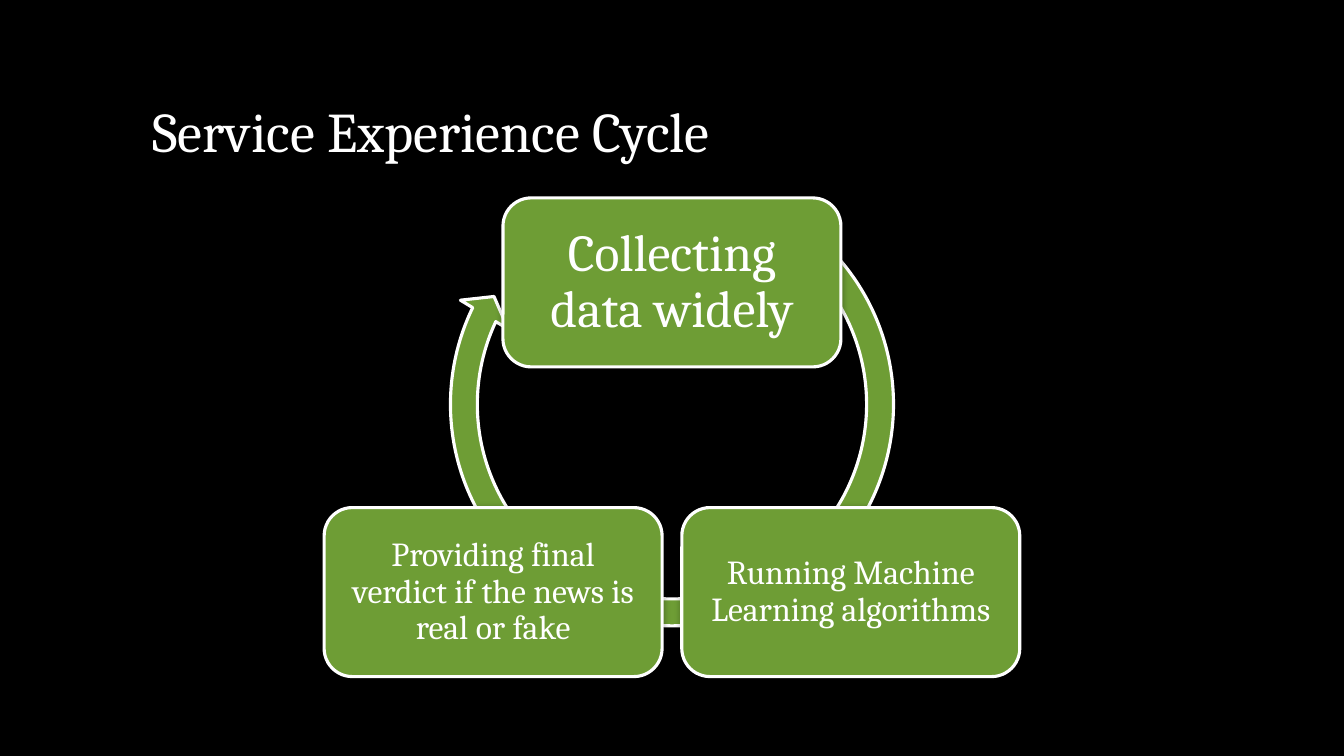
from dataclasses import dataclass

from lxml.etree import SubElement
from pptx import Presentation
from pptx.dml.color import RGBColor
from pptx.enum.shapes import MSO_SHAPE as SHAPE
from pptx.enum.text import MSO_ANCHOR as ANCHOR, PP_ALIGN as ALIGN
from pptx.oxml.ns import qn
from pptx.shapes.autoshape import Shape
from pptx.slide import Slide
from pptx.util import Pt

BLACK, WHITE, GREEN = "000000", "FFFFFF", "6E9D35"
CENTER_X = 480
BOX_W, BOX_H = 241.4, 120.7
SIDE_SHIFT = 127.75
TOP_Y, BOTTOM_Y = 141.4, 362.6
RING_TOP, RING_SIZE = 120.3, 337


@dataclass
class Stage:
    text: str
    shift: float
    top: float
    size: float


STAGES = [
    Stage("Collecting data widely", 0, TOP_Y, 37),
    Stage("Running Machine Learning algorithms", SIDE_SHIFT, BOTTOM_Y, 24),
    Stage("Providing final verdict if the news is real or fake", -SIDE_SHIFT, BOTTOM_Y, 24),
]


def color(value: str) -> RGBColor:
    return RGBColor.from_string(value)


def write(sp: Shape, text: str, size: float, frame: dict, para: dict) -> None:
    tf = sp.text_frame
    for name, value in frame.items():
        setattr(tf, name, value)
    p = tf.paragraphs[0]
    for name, value in para.items():
        setattr(p, name, value)
    r = p.add_run()
    r.text = text
    for name, value in {"name": "Cambria", "size": Pt(size)}.items():
        setattr(r.font, name, value)
    r.font.color.rgb = color(WHITE)


def add_shadow(sp: Shape) -> None:
    sp.shadow.inherit = False
    effects = sp._element.spPr.find(qn("a:effectLst"))
    shadow = SubElement(effects, qn("a:outerShdw"), blurRad=str(Pt(5)),
                        dist=str(Pt(1)), dir="5400000", rotWithShape="0")
    tone = SubElement(shadow, qn("a:srgbClr"), val=BLACK)
    SubElement(tone, qn("a:alpha"), val="32000")


def add_green(s: Slide, kind: SHAPE, center: float, top: float,
              width: float, height: float, adjustments: list[float]) -> Shape:
    sp = s.shapes.add_shape(kind, Pt(center - width / 2), Pt(top), Pt(width), Pt(height))
    for i, value in enumerate(adjustments):
        sp.adjustments[i] = value
    sp.fill.solid()
    sp.fill.fore_color.rgb = color(GREEN)
    sp.line.color.rgb = color(WHITE)
    sp.line.width = Pt(2.25)
    add_shadow(sp)
    return sp


def add_stage(s: Slide, stage: Stage) -> None:
    sp = add_green(s, SHAPE.ROUNDED_RECTANGLE, CENTER_X + stage.shift, stage.top,
                   BOX_W, BOX_H, [1 / 6])
    frame = {f"margin_{side}": Pt(11.5) for side in ("left", "top", "right", "bottom")}
    frame |= {"word_wrap": True, "vertical_anchor": ANCHOR.MIDDLE}
    write(sp, stage.text, stage.size, frame,
          {"alignment": ALIGN.CENTER, "line_spacing": 0.9})


def main() -> None:
    prs = Presentation()
    prs.slide_width, prs.slide_height = Pt(960), Pt(540)
    s = prs.slides.add_slide(prs.slide_layouts[6])
    s.background.fill.solid()
    s.background.fill.fore_color.rgb = color(BLACK)

    title = s.shapes.add_textbox(Pt(102), Pt(30), Pt(756), Pt(90))
    write(title, "Service Experience Cycle", 40,
          {"word_wrap": True, "vertical_anchor": ANCHOR.BOTTOM}, {"line_spacing": 0.8})

    add_green(s, SHAPE.CIRCULAR_ARROW, CENTER_X, RING_TOP, RING_SIZE, RING_SIZE,
              [0.057, 3.405, 123.321, 183.342, 0.059])
    for stage in STAGES:
        add_stage(s, stage)
    prs.save("out.pptx")


if __name__ == "__main__":
    main()
